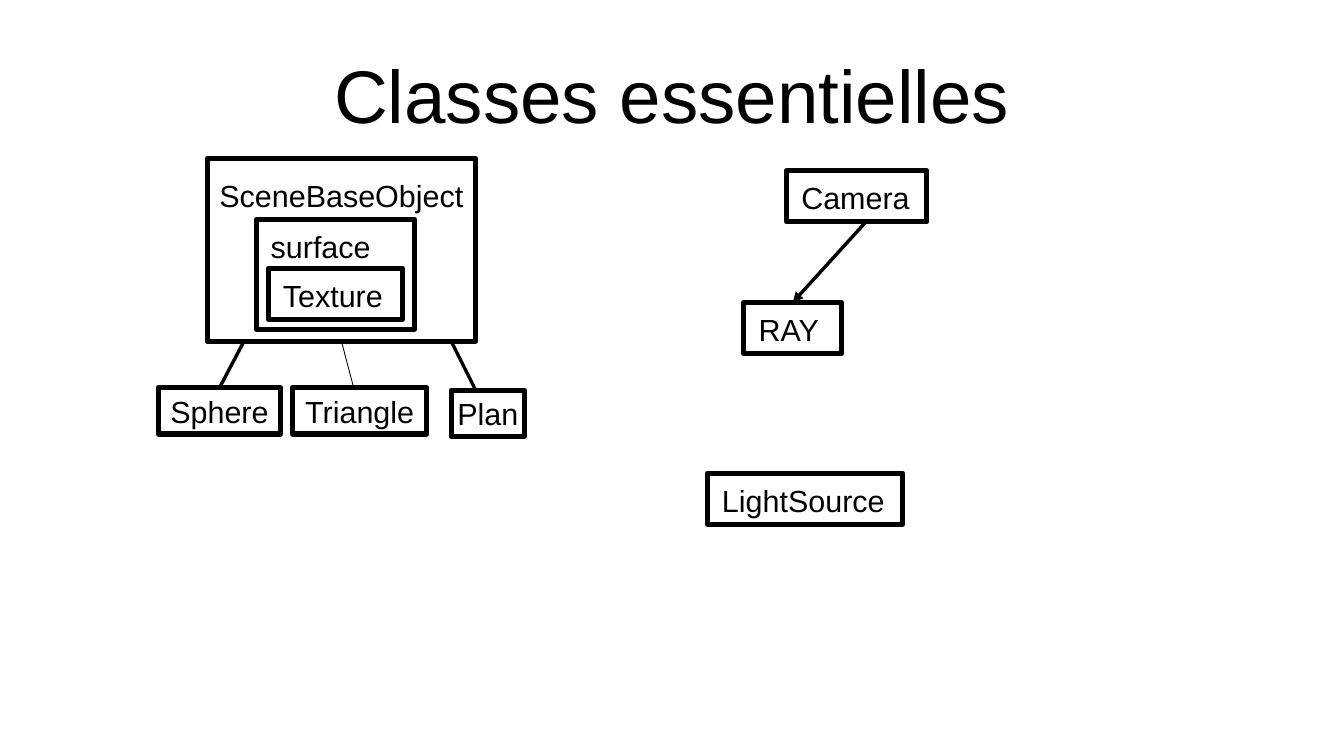
import pptx
import pptx.dml.color
import pptx.enum.shapes
import pptx.enum.text
import pptx.oxml.ns
import pptx.util
from lxml import etree
from pptx.util import Inches

BLACK = pptx.dml.color.RGBColor(0, 0, 0)
WHITE = pptx.dml.color.RGBColor(255, 255, 255)
ALIGN = pptx.enum.text.PP_ALIGN
ANCHOR = pptx.enum.text.MSO_ANCHOR
BOTTOM, TOP = 2, 0


class ClassDiagram:
    """Draws a class diagram in one plain black outline style."""

    def __init__(self, slide):
        self.slide = slide
        self.font = "Arial"
        slide.background.fill.solid()
        slide.background.fill.fore_color.rgb = WHITE

    def label(self, shape, text, size, align, anchor, insets, wrap):
        frame = shape.text_frame
        frame.text = text
        frame.word_wrap = wrap
        frame.vertical_anchor = anchor
        frame.margin_left = frame.margin_right = Inches(insets[0])
        frame.margin_top = Inches(insets[1])
        frame.margin_bottom = Inches(insets[2])
        paragraph = frame.paragraphs[0]
        paragraph.alignment = align
        font = paragraph.runs[0].font
        font.name = self.font
        font.size = pptx.util.Pt(size)
        font.color.rgb = BLACK

    def title(self, text, left, top, width, height):
        heading = self.slide.shapes.add_textbox(*map(Inches, (left, top, width, height)))
        self.label(heading, text, 44, ALIGN.CENTER, ANCHOR.MIDDLE, (0, 0, 0), True)

    def box(self, text, left, top, width, height, align=ALIGN.LEFT,
            anchor=ANCHOR.TOP, top_inset=0.07):
        rectangle = self.slide.shapes.add_shape(
            pptx.enum.shapes.MSO_SHAPE.RECTANGLE,
            *map(Inches, (left, top, width, height)))
        rectangle.shadow.inherit = False
        rectangle.fill.background()
        rectangle.line.color.rgb = BLACK
        rectangle.line.width = pptx.util.Pt(3)
        self.label(rectangle, text, 18, align, anchor,
                   (0.12, top_inset, 0.07), align == ALIGN.LEFT)
        return rectangle

    def link(self, start, end, source=None, target=None, width=0, arrow=False):
        connector = self.slide.shapes.add_connector(
            pptx.enum.shapes.MSO_CONNECTOR.STRAIGHT, *map(Inches, start + end))
        if source is not None:
            connector.begin_connect(source, BOTTOM)
        if target is not None:
            connector.end_connect(target, TOP)
        connector.line.color.rgb = BLACK
        connector.line.width = pptx.util.Pt(width)
        properties = connector.element.spPr
        if arrow:
            outline = properties.find(pptx.oxml.ns.qn("a:ln"))
            etree.SubElement(outline, pptx.oxml.ns.qn("a:tailEnd"), type="triangle")
        etree.SubElement(properties, pptx.oxml.ns.qn("a:effectLst"))


def main():
    presentation = pptx.Presentation()
    presentation.slide_width = Inches(11.02)
    presentation.slide_height = Inches(6.2)
    diagram = ClassDiagram(presentation.slides.add_slide(presentation.slide_layouts[6]))

    diagram.title("Classes essentielles", 0.55, 0.25, 9.92, 1.04)

    scene_object = diagram.box("SceneBaseObject", 1.7, 1.3, 2.2, 1.5,
                               ALIGN.CENTER, top_inset=0.15)
    diagram.box("surface", 2.1, 1.8, 1.3, 0.9)
    diagram.box("Texture", 2.2, 2.2, 1.1, 0.42)

    subclass_style = (0.38, ALIGN.CENTER, ANCHOR.MIDDLE)
    sphere = diagram.box("Sphere", 1.3, 3.18, 1.0, *subclass_style)
    diagram.box("Triangle", 2.4, 3.18, 1.1, *subclass_style)
    diagram.box("Plan", 3.7, 3.2, 0.6, *subclass_style)

    diagram.box("Camera", 6.45, 1.4, 1.15, 0.42)
    ray = diagram.box("RAY", 6.1, 2.48, 0.8, 0.42)
    diagram.box("LightSource", 5.8, 3.88, 1.6, 0.42)

    diagram.link((2, 2.8), (1.8, 3.18), target=sphere)
    diagram.link((2.8, 2.8), (2.9, 3.18), source=scene_object, width=0.5)
    diagram.link((3.7, 2.8), (3.9, 3.2))
    diagram.link((7.1, 1.82), (6.5, 2.48), target=ray, arrow=True)

    presentation.save("out.pptx")


if __name__ == "__main__":
    main()
